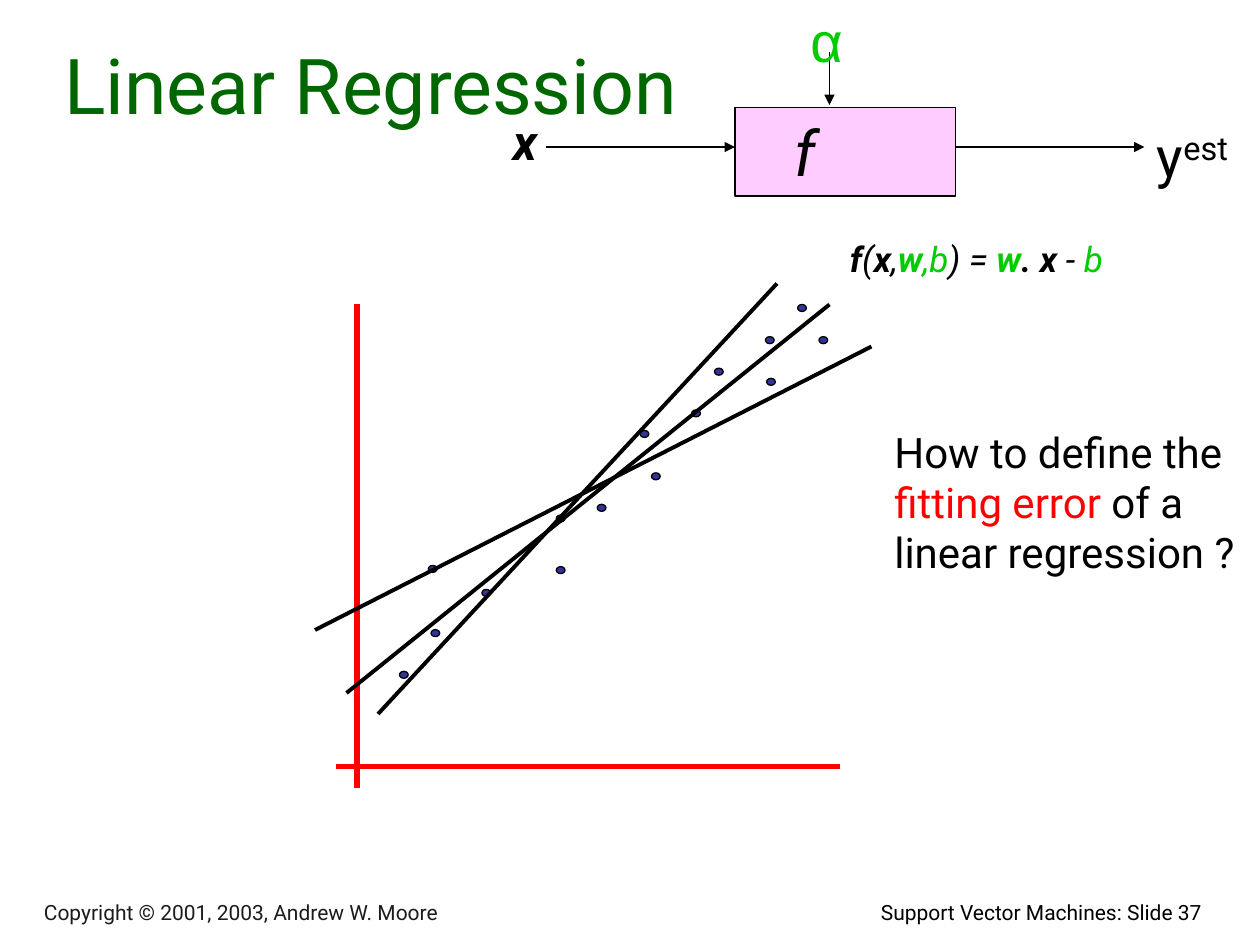
from typing import NamedTuple, Optional

import pptx
import pptx.dml.color
import pptx.enum.shapes
import pptx.enum.text
import pptx.oxml
import pptx.util

Pt = pptx.util.Pt
ALIGN = pptx.enum.text.PP_ALIGN
ANCHOR = pptx.enum.text.MSO_ANCHOR
SHAPE = pptx.enum.shapes.MSO_SHAPE

COLORS = {
    "black": "000000",
    "copyright": "1C1C1C",
    "title": "006600",
    "parameter": "00CC00",
    "red": "FF0000",
    "box": "FFCCFF",
    "dot": "333399",
}
DOT_WIDTH, DOT_HEIGHT = 5, 4


class Run(NamedTuple):
    text: str
    color: str = "black"
    bold: bool = False
    italic: bool = False
    superscript: bool = False


class Line(NamedTuple):
    start: tuple[float, float]
    end: tuple[float, float]
    color: str = "black"
    width: float = 1
    arrow: bool = False


class Label(NamedTuple):
    box: tuple[float, float, float, float]
    runs: list[Run]
    size: float
    align: ALIGN = ALIGN.CENTER
    anchor: ANCHOR = ANCHOR.TOP
    font: str = "Roboto"


FLOW_ARROWS = [
    Line((312, 84), (420, 84), arrow=True),
    Line((474, 30), (474, 60), arrow=True),
    Line((546, 84), (654, 84), arrow=True),
]
AXES = [
    Line((204, 174), (204, 450), "red", 3),
    Line((192, 438), (480, 438), "red", 3),
]
CANDIDATE_FITS = [
    Line((180, 360), (498, 198), width=2.25),
    Line((216, 408), (444, 162), width=2.25),
    Line((198, 396), (474, 174), width=2.25),
]
DOT_CENTERS = [
    (230.8, 385.6), (248.8, 361.8), (247.3, 325.1), (277.9, 338.8), (320.4, 325.8),
    (320.4, 296.3), (343.8, 290.2), (374.8, 272.2), (368.3, 248), (397.8, 236.2),
    (410.8, 212.4), (440.6, 218.2), (439.9, 194.4), (470.5, 194.4), (458.3, 176),
]
LABELS = [
    Label((412, 510.5, 282, 24), [Run("Support Vector Machines: Slide 37")], 12, ALIGN.RIGHT),
    Label((18, 512, 400, 20), [Run("Copyright © 2001, 2003, Andrew W. Moore", "copyright")],
          12, ALIGN.LEFT, ANCHOR.BOTTOM),
    Label((276, 60, 48, 41), [Run("x", bold=True, italic=True)], 28),
    Label((456, 0, 30, 46), [Run("α", "parameter")], 32, font="Arial"),
    Label((654, 66, 66, 46), [Run("y"), Run("est", superscript=True)], 32, ALIGN.LEFT),
    Label((432, 132, 252, 32), [
        Run("f", bold=True, italic=True),
        Run("(", italic=True),
        Run("x", bold=True, italic=True),
        Run(",", italic=True),
        Run("w", "parameter", bold=True, italic=True),
        Run(",b", "parameter", italic=True),
        Run(") = ", italic=True),
        Run("w", "parameter", bold=True, italic=True),
        Run(". x ", bold=True, italic=True),
        Run("- ", italic=True),
        Run("b", "parameter", italic=True),
    ], 20),
    Label((504, 240, 216, 122), [
        Run("How to define the "),
        Run("fitting error", "red"),
        Run(" of a linear regression ?"),
    ], 24, ALIGN.LEFT),
]


def rgb(name: str) -> pptx.dml.color.RGBColor:
    return pptx.dml.color.RGBColor.from_string(COLORS[name])


def write_text(shape, runs: list[Run], *, size: float, align=ALIGN.CENTER,
               anchor=ANCHOR.TOP, font: str = "Roboto", right_margin: float = 7.2) -> None:
    frame = shape.text_frame
    frame.word_wrap = True
    frame.auto_size = pptx.enum.text.MSO_AUTO_SIZE.NONE
    frame.vertical_anchor = anchor
    frame.margin_left, frame.margin_right = Pt(7.2), Pt(right_margin)
    frame.margin_top = frame.margin_bottom = Pt(3.6)
    paragraph = frame.paragraphs[0]
    paragraph.alignment = align
    paragraph.line_spacing = 1.0
    paragraph.space_before = Pt(0)
    for item in runs:
        run = paragraph.add_run()
        run.text = item.text
        run.font.name = font
        run.font.size = Pt(size)
        run.font.bold = item.bold
        run.font.italic = item.italic
        run.font.color.rgb = rgb(item.color)
        if item.superscript:
            run._r.get_or_add_rPr().set("baseline", "30000")


def add_label(slide, label: Label) -> None:
    shape = slide.shapes.add_textbox(*map(Pt, label.box))
    write_text(shape, label.runs, size=label.size, align=label.align,
               anchor=label.anchor, font=label.font)


def add_filled_shape(slide, kind: SHAPE, box: tuple[float, float, float, float],
                     fill: str, line_width: float):
    shape = slide.shapes.add_shape(kind, *map(Pt, box))
    shape.shadow.inherit = False
    shape.fill.solid()
    shape.fill.fore_color.rgb = rgb(fill)
    shape.line.color.rgb = rgb("black")
    shape.line.width = Pt(line_width)
    return shape


def add_line(slide, line: Line) -> None:
    connector = slide.shapes.add_connector(
        pptx.enum.shapes.MSO_CONNECTOR.STRAIGHT, *map(Pt, line.start + line.end))
    connector.line.color.rgb = rgb(line.color)
    connector.line.width = Pt(line.width)
    if line.arrow:
        outline = connector.line._get_or_add_ln()
        pptx.oxml.ns.qn("a:tailEnd")
        outline.append(pptx.oxml.parse_xml(
            f'<a:tailEnd {pptx.oxml.ns.nsdecls("a")} type="triangle"/>'))
    connector._element.spPr.append(
        pptx.oxml.parse_xml(f'<a:effectLst {pptx.oxml.ns.nsdecls("a")}/>'))


def add_title(slide, text: str) -> None:
    title: Optional[object] = slide.shapes.title
    title.left, title.top, title.width, title.height = map(Pt, (17, 24, 390, 54))
    write_text(title, [Run(text, "title")], size=44, anchor=ANCHOR.BOTTOM)


def main() -> None:
    presentation = pptx.Presentation()
    presentation.slide_width, presentation.slide_height = Pt(720), Pt(540)
    slide = presentation.slides.add_slide(presentation.slide_layouts[5])

    add_title(slide, "Linear Regression")
    function_box = add_filled_shape(slide, SHAPE.RECTANGLE, (420, 61.5, 126, 50.5), "box", 1)
    write_text(function_box, [Run("f", italic=True)], size=36,
               anchor=ANCHOR.MIDDLE, right_margin=53)

    for line in FLOW_ARROWS + AXES:
        add_line(slide, line)
    for x, y in DOT_CENTERS:
        box = (x - DOT_WIDTH / 2, y - DOT_HEIGHT / 2, DOT_WIDTH, DOT_HEIGHT)
        add_filled_shape(slide, SHAPE.OVAL, box, "dot", 0.75)
    for line in CANDIDATE_FITS:
        add_line(slide, line)
    for label in LABELS:
        add_label(slide, label)

    presentation.save("out.pptx")


if __name__ == "__main__":
    main()
